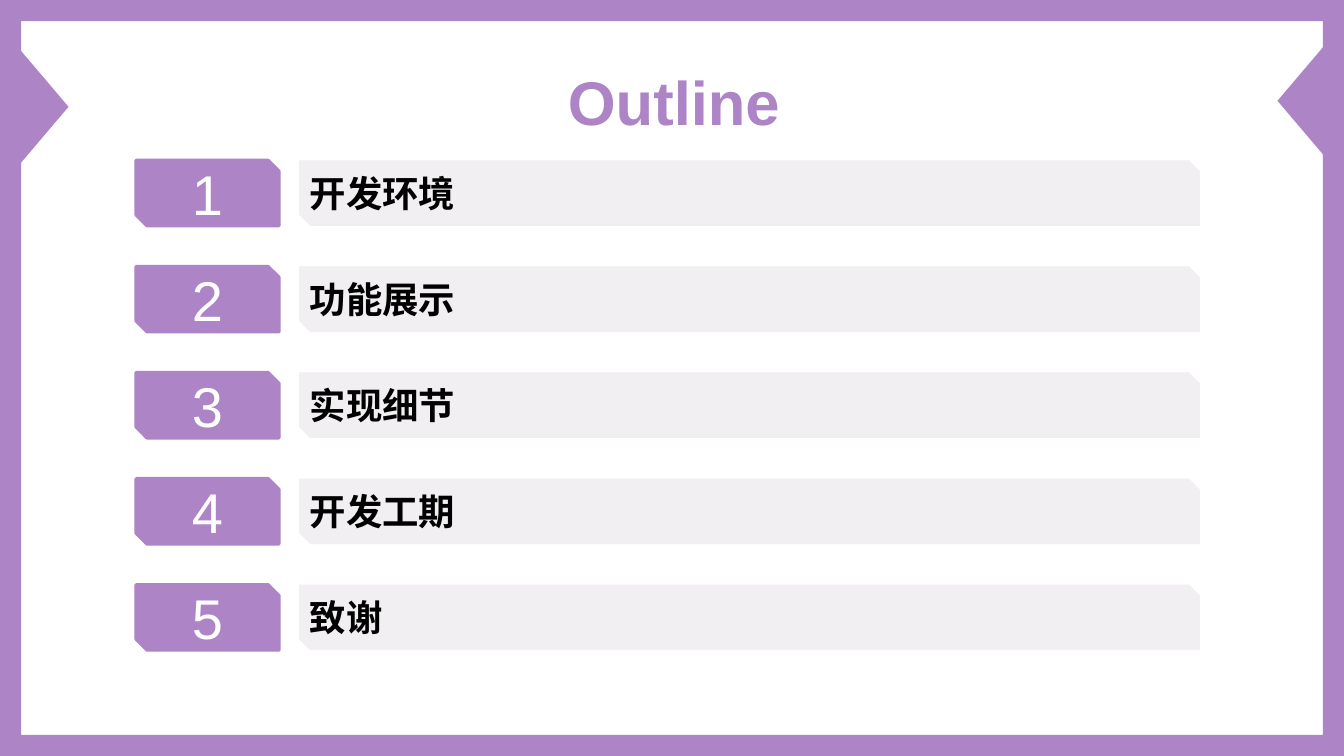
from lxml import etree
from pptx import Presentation
from pptx.dml.color import RGBColor
from pptx.enum.shapes import MSO_SHAPE
from pptx.enum.text import MSO_ANCHOR, PP_ALIGN
from pptx.oxml.ns import qn
from pptx.util import Inches, Pt

FRAME = MSO_SHAPE.FRAME
TRIANGLE = MSO_SHAPE.ISOSCELES_TRIANGLE
SNIPPED = MSO_SHAPE.SNIP_2_DIAG_RECTANGLE
MIDDLE = MSO_ANCHOR.MIDDLE
LEFT, CENTER = PP_ALIGN.LEFT, PP_ALIGN.CENTER

WIDTH, HEIGHT = 13.34, 7.5
PURPLE, PALE, WHITE, BLACK = "AD84C6", "F1EFF1", "FFFFFF", "000000"
BORDER = 0.21
TOPICS = ["开发环境", "功能展示", "实现细节", "开发工期", "致谢"]

TITLE_FORMAT = {"name": "Arial", "size": Pt(44), "bold": True}
NUMBER_FORMAT = {"name": "Arial", "size": Pt(40)}
TOPIC_FORMAT = {"name": "Noto Sans CJK SC", "size": Pt(26), "bold": True}


def color(hex_string):
    return RGBColor.from_string(hex_string)


def add_filled_shape(slide, kind, box, fill, line=None):
    shape = slide.shapes.add_shape(kind, *map(Inches, box))
    shape.shadow.inherit = False
    shape.fill.solid()
    shape.fill.fore_color.rgb = color(fill)
    if line:
        shape.line.color.rgb = color(line)
        shape.line.width = Pt(2.25)
    else:
        shape.line.fill.background()
    return shape


def write_text(shape, text, text_color, alignment, font_format):
    frame = shape.text_frame
    frame.word_wrap = True
    frame.vertical_anchor = MIDDLE
    frame.margin_left = frame.margin_right = Inches(0.05)
    paragraph = frame.paragraphs[0]
    paragraph.alignment = alignment
    run = paragraph.add_run()
    run.text = text
    for name, value in font_format.items():
        setattr(run.font, name, value)
    run.font.color.rgb = color(text_color)
    east_asian = etree.SubElement(run.font._element, qn("a:ea"))
    east_asian.set("typeface", font_format["name"])


def add_border(slide, box):
    """Draw the frame and the triangles that point inward from its sides."""
    left, top, width, height = box
    frame = add_filled_shape(slide, FRAME, box, PURPLE)
    frame.adjustments[0] = BORDER / height
    base, depth = 1.13, 0.48
    for center_x, center_y, rotation in [
        (left + 0.44, top + 1.06, 90),
        (left + width - 0.42, top + 1, 270),
    ]:
        triangle_box = (center_x - base / 2, center_y - depth / 2, base, depth)
        triangle = add_filled_shape(slide, TRIANGLE, triangle_box, PURPLE)
        triangle.rotation = rotation


def add_title(slide, box):
    title = slide.shapes.add_textbox(*map(Inches, box))
    write_text(title, "Outline", PURPLE, CENTER, TITLE_FORMAT)


def add_topic_row(slide, box, number, topic):
    left, top, width, height = box
    number_width, gap = 1.42, 0.2
    bar_left = left + number_width + gap
    bar_width = width - number_width - gap
    badge = add_filled_shape(
        slide, SNIPPED, (left, top, number_width, height), PURPLE, PURPLE)
    write_text(badge, str(number), WHITE, CENTER, NUMBER_FORMAT)
    bar = add_filled_shape(
        slide, SNIPPED, (bar_left, top, bar_width, height), PALE)
    write_text(bar, topic, BLACK, LEFT, TOPIC_FORMAT)


def add_topics(slide, box):
    left, top, width, height = box
    row_height = 0.65
    pitch = (height - row_height) / (len(TOPICS) - 1)
    for index, topic in enumerate(TOPICS):
        row_box = (left, top + index * pitch, width, row_height)
        add_topic_row(slide, row_box, index + 1, topic)


def main():
    presentation = Presentation()
    presentation.slide_width = Inches(WIDTH)
    presentation.slide_height = Inches(HEIGHT)
    slide = presentation.slides.add_slide(presentation.slide_layouts[6])
    add_border(slide, (0, 0, WIDTH, HEIGHT))
    add_title(slide, (0.82, 0.61, 11.74, 0.79))
    add_topics(slide, (1.35, 1.59, 10.56, 4.86))
    presentation.save("out.pptx")


if __name__ == "__main__":
    main()
